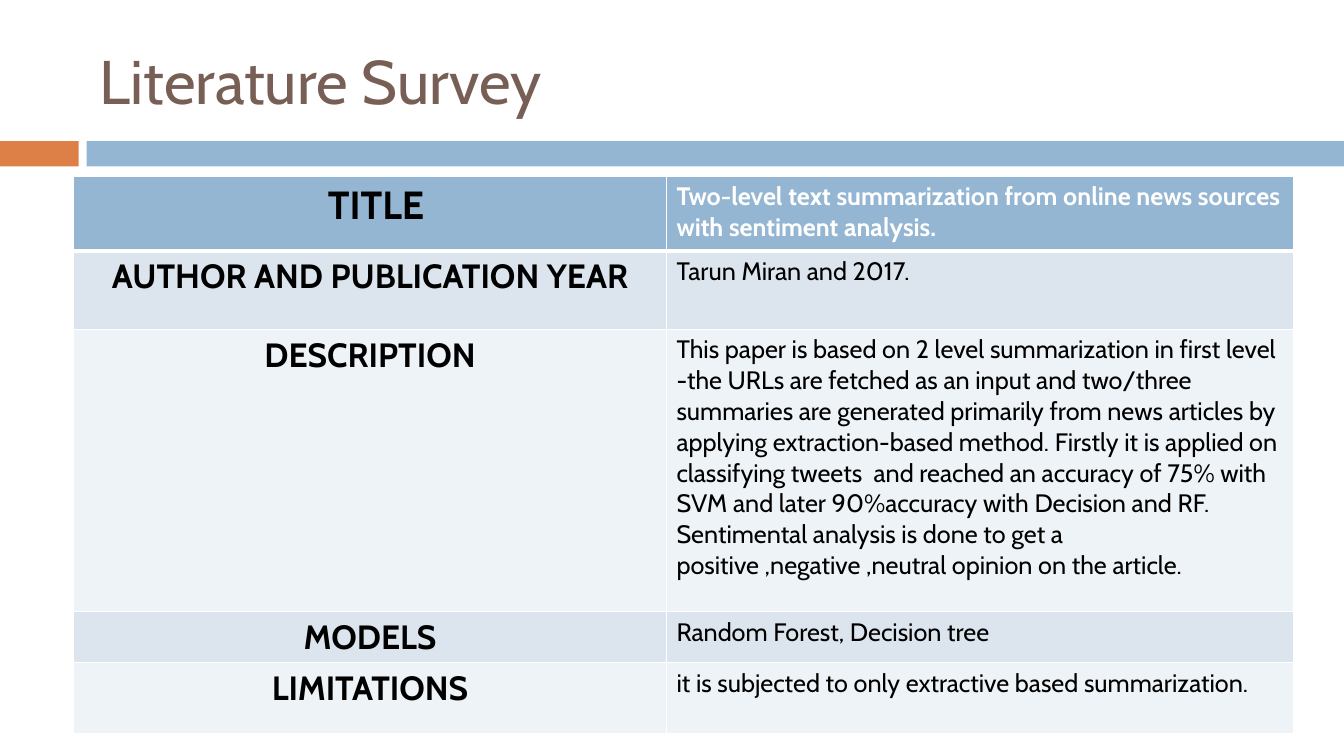
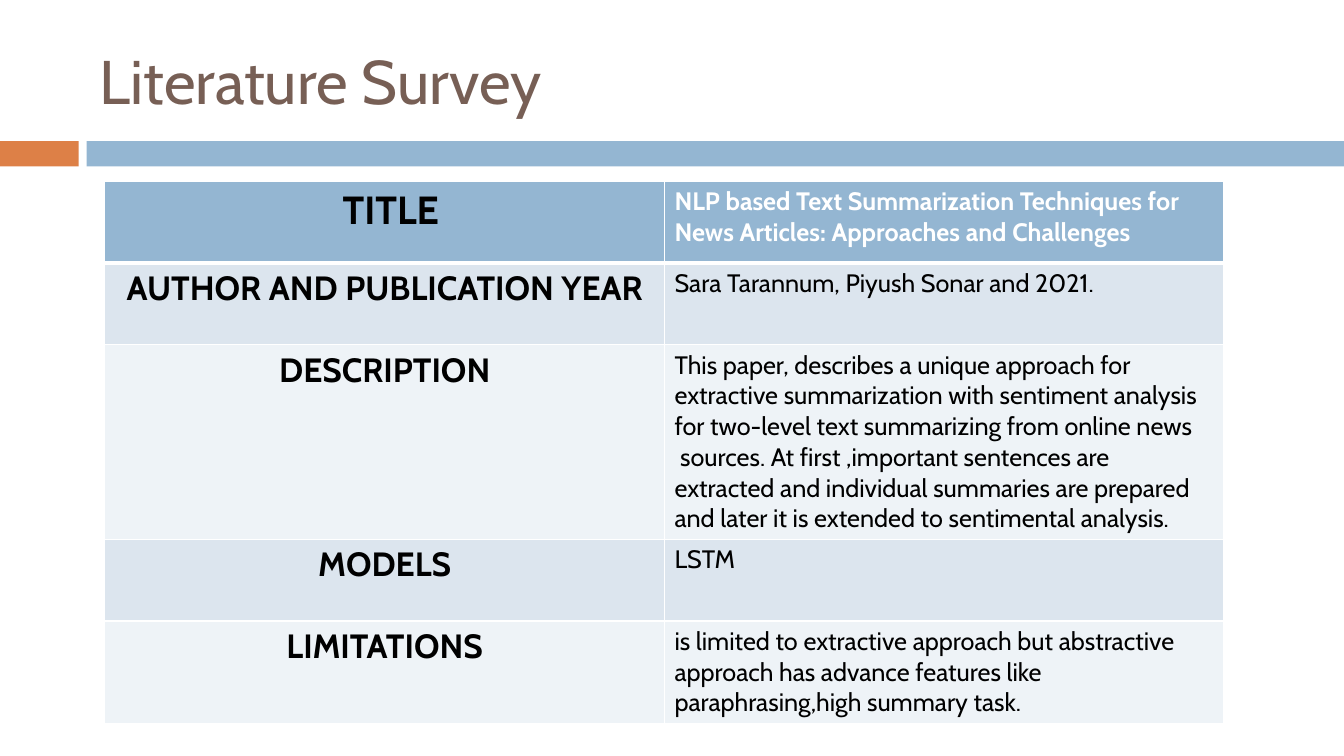
from lxml import etree
from pptx import Presentation
from pptx import util as u
from pptx.dml.color import RGBColor
from pptx.enum import shapes, text
from pptx.oxml.ns import qn

COLORS = {
    "orange": "DD8047", "blue": "94B6D2", "brown": "775F55", "white": "FFFFFF",
    "black": "000000", "band_dark": "DCE5EE", "band_light": "EEF3F7",
}
FONT = "Cabin"
LABELS = ["TITLE", "AUTHOR AND PUBLICATION YEAR", "DESCRIPTION", "MODELS", "LIMITATIONS"]
FORMATS = {
    "title": {"size": u.Pt(44), "bold": False, "color": "brown"},
    "head_label": {"size": u.Pt(28), "bold": True, "color": "black"},
    "head_value": {"size": u.Pt(18), "bold": True, "color": "white"},
    "label": {"size": u.Pt(24), "bold": True, "color": "black"},
    "value": {"size": u.Pt(18), "bold": False, "color": "black"},
}
BANDS = [(0, 0.78, "orange"), (0.86, 12.47, "blue")]

# One entry per surveyed paper; line breaks in a value start a new paragraph
PAPERS = [
    {
        "at": (0.73, 1.75), "cols": [5.88, 6.22], "rows": [0.74, 0.78, 2.8, 0.5, 0.7],
        "values": [
            "Two-level text summarization from online news sources with sentiment analysis.",
            "Tarun Miran and 2017.",
            "This paper is based on 2 level summarization in first level -the URLs are "
            "fetched as an input and two/three summaries are generated primarily from news "
            "articles by applying extraction-based method. Firstly it is applied on "
            "classifying tweets  and reached an accuracy of 75% with SVM and later "
            "90%accuracy with Decision and RF. Sentimental analysis is done to get a "
            "positive ,negative ,neutral opinion on the article.",
            "Random Forest, Decision tree",
            "it is subjected to only extractive based summarization.",
        ],
    },
    {
        "at": (1.04, 1.8), "cols": [5.55, 5.55], "rows": [0.81, 0.81, 1.93, 0.81, 1.01],
        "values": [
            "NLP based Text Summarization Techniques for News Articles: Approaches and "
            "Challenges",
            "Sara Tarannum, Piyush Sonar and 2021.",
            "This paper, describes a unique approach for extractive summarization with "
            "sentiment analysis for two-level text summarizing from online news\n"
            " sources. At first ,important sentences are extracted and individual summaries "
            "are prepared and later it is extended to sentimental analysis.",
            "LSTM",
            "is limited to extractive approach but abstractive approach has advance "
            "features like paraphrasing,high summary task.",
        ],
    },
]


def write(tf, content, style, align):
    tf.text = content
    for p in tf.paragraphs:
        p.alignment = align
        for r in p.runs:
            r.font.name = FONT
            for name, value in FORMATS[style].items():
                if name == "color":
                    r.font.color.rgb = RGBColor.from_string(COLORS[value])
                else:
                    setattr(r.font, name, value)


def set_borders(cell, widths):
    for side, width in widths.items():
        ln = etree.SubElement(cell._tc.get_or_add_tcPr(), qn(f"a:ln{side}"), w=str(u.Pt(width)))
        fill = etree.SubElement(ln, qn("a:solidFill"))
        etree.SubElement(fill, qn("a:srgbClr"), val=COLORS["white"])


prs = Presentation()
prs.slide_width, prs.slide_height = u.Inches(13.33), u.Inches(7.5)
layout = prs.slide_layouts[5]

for paper in PAPERS:
    s = prs.slides.add_slide(layout)

    # Title
    title = s.shapes.title
    title.left, title.top = u.Inches(0.89), u.Inches(0.25)
    title.width, title.height = u.Inches(11.89), u.Inches(1.08)
    tf = title.text_frame
    tf.auto_size = text.MSO_AUTO_SIZE.NONE
    tf.vertical_anchor = text.MSO_ANCHOR.MIDDLE
    write(tf, "Literature Survey", "title", text.PP_ALIGN.LEFT)

    # Survey table
    left, top = paper["at"]
    table = s.shapes.add_table(
        len(LABELS), 2, u.Inches(left), u.Inches(top),
        u.Inches(sum(paper["cols"])), u.Inches(sum(paper["rows"]))).table
    for column, width in zip(table.columns, paper["cols"]):
        column.width = u.Inches(width)
    for i, row_texts in enumerate(zip(LABELS, paper["values"])):
        table.rows[i].height = u.Inches(paper["rows"][i])
        prefix = "head_" if i == 0 else ""
        row_fill = "blue" if i == 0 else ("band_light", "band_dark")[i % 2]
        for j, content in enumerate(row_texts):
            cell = table.cell(i, j)
            set_borders(cell, {"L": 1, "R": 1, "T": 3 if i == 1 else 1, "B": 3 if i == 0 else 1})
            cell.fill.solid()
            cell.fill.fore_color.rgb = RGBColor.from_string(COLORS[row_fill])
            write(cell.text_frame, content, prefix + ("label", "value")[j],
                  (text.PP_ALIGN.CENTER, text.PP_ALIGN.LEFT)[j])
    table.cell(0, 0).margin_left = u.Inches(0.22)

# Bands shared by all slides, moved onto the layout
for left, width, color in BANDS:
    sp = s.shapes.add_shape(shapes.MSO_SHAPE.RECTANGLE, u.Inches(left), u.Inches(1.4),
                            u.Inches(width), u.Inches(0.25))
    sp.shadow.inherit = False
    sp.fill.solid()
    sp.fill.fore_color.rgb = RGBColor.from_string(COLORS[color])
    sp.line.fill.background()
    layout.shapes.element.insert(2, sp.element)

prs.save("out.pptx")
